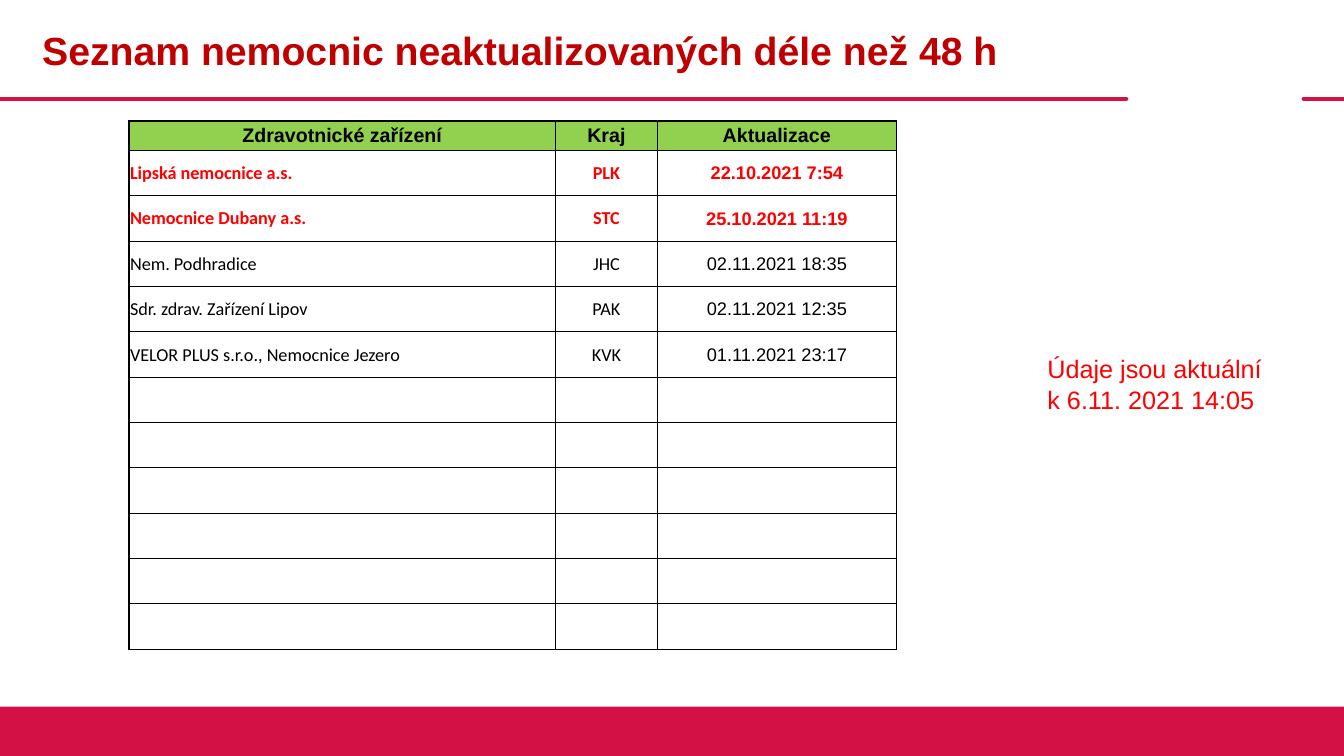
import pptx
import pptx.dml.color
import pptx.enum.shapes
import pptx.enum.text
import pptx.oxml.ns
import pptx.util
from dataclasses import dataclass
from lxml import etree

Inches = pptx.util.Inches
Pt = pptx.util.Pt
Anchor = pptx.enum.text.MSO_ANCHOR
Align = pptx.enum.text.PP_ALIGN
qn = pptx.oxml.ns.qn


@dataclass(frozen=True)
class Theme:
    heading_font: str = "Arial"
    name_font: str = "Calibri"
    band: str = "D31145"
    title: str = "C00000"
    alert: str = "FF0000"
    ink: str = "000000"
    header_fill: str = "92D050"
    title_size: int = 28
    note_size: int = 18
    header_size: int = 14
    body_size: int = 13
    rule_width: int = 3
    outer_border: float = 1
    inner_border: float = 0.5


def rgb(code):
    return pptx.dml.color.RGBColor.from_string(code)


def set_font(paragraph, name, size, color, bold=False):
    font = paragraph.font
    font.name, font.size, font.bold = name, Pt(size), bold
    font.color.rgb = rgb(color)


class SlideBuilder:
    def __init__(self, slide, theme):
        self.slide = slide
        self.theme = theme

    def rule(self, start, end, y):
        line = self.slide.shapes.add_connector(
            pptx.enum.shapes.MSO_CONNECTOR.STRAIGHT,
            Inches(start), Inches(y), Inches(end), Inches(y))
        line.line.color.rgb = rgb(self.theme.band)
        line.line.width = Pt(self.theme.rule_width)
        properties = line._element.spPr
        properties.find(qn("a:ln")).set("cap", "rnd")
        etree.SubElement(properties, qn("a:effectLst"))

    def band(self, left, top, width, height):
        bar = self.slide.shapes.add_shape(
            pptx.enum.shapes.MSO_SHAPE.RECTANGLE,
            Inches(left), Inches(top), Inches(width), Inches(height))
        bar.shadow.inherit = False
        bar.fill.solid()
        bar.fill.fore_color.rgb = rgb(self.theme.band)
        bar.line.fill.background()

    def text(self, words, left, top, width, height, size, color,
             bold=False, line_spacing=1.0):
        frame = self.slide.shapes.add_textbox(
            Inches(left), Inches(top), Inches(width), Inches(height)).text_frame
        frame.word_wrap = True
        frame.vertical_anchor = Anchor.TOP
        paragraph = frame.paragraphs[0]
        paragraph.text = words
        paragraph.line_spacing = line_spacing
        set_font(paragraph, self.theme.heading_font, size, color, bold)

    def borders(self, cell, widths):
        """Draw the cell's borders; widths are left, right, top, bottom in points."""
        properties = cell._tc.get_or_add_tcPr()
        for side, width in zip("LRTB", widths):
            line = etree.SubElement(properties, qn(f"a:ln{side}"), w=str(Pt(width)))
            fill = etree.SubElement(line, qn("a:solidFill"))
            etree.SubElement(fill, qn("a:srgbClr"), val=self.theme.ink)

    def hospital_table(self, header, hospitals, row_count, left, top, widths,
                       header_height, row_height):
        """Build the table; hospitals are (cells, is_overdue), padded with empty rows."""
        theme = self.theme
        height = header_height + row_height * (row_count - 1)
        table = self.slide.shapes.add_table(
            row_count, len(widths), Inches(left), Inches(top),
            Inches(sum(widths)), Inches(height)).table
        table.first_row = table.horz_banding = False
        for column, width in zip(table.columns, widths):
            column.width = Inches(width)
        for r, row in enumerate(table.rows):
            row.height = Inches(row_height if r else header_height)
            words, overdue = (header, False)
            if r:
                words, overdue = hospitals[r - 1] if r <= len(hospitals) else ([], False)
            for c, cell in enumerate(row.cells):
                outer, inner = theme.outer_border, theme.inner_border
                self.borders(cell, (
                    inner if c else outer,
                    outer if c == len(widths) - 1 else inner,
                    outer if r <= 1 else inner,
                    outer if r in (0, row_count - 1) else inner))
                if r:
                    cell.fill.background()
                else:
                    cell.fill.solid()
                    cell.fill.fore_color.rgb = rgb(theme.header_fill)
                cell.vertical_anchor = Anchor.MIDDLE
                cell.margin_left = cell.margin_right = cell.margin_top = Inches(0.01)
                cell.margin_bottom = 0
                paragraph = cell.text_frame.paragraphs[0]
                paragraph.text = words[c] if words else ""
                paragraph.alignment = Align.LEFT if r and c == 0 else Align.CENTER
                set_font(paragraph,
                         theme.name_font if r and c < 2 else theme.heading_font,
                         theme.body_size if r else theme.header_size,
                         theme.alert if overdue else theme.ink,
                         bold=overdue or r == 0)


def main():
    deck = pptx.Presentation()
    deck.slide_width, deck.slide_height = Inches(13.33), Inches(7.5)
    theme = Theme()
    page = SlideBuilder(deck.slides.add_slide(deck.slide_layouts[6]), theme)

    page.rule(0, 11.17, 0.98)
    page.rule(12.93, 13.33, 0.98)
    page.band(0, 7.01, 13.33, 0.49)
    page.text("Seznam nemocnic neaktualizovaných déle než 48 h",
              0.32, 0.26, 10.81, 0.98, theme.title_size, theme.title,
              bold=True, line_spacing=0.9)
    page.text("Údaje jsou aktuální k 6.11. 2021 14:05",
              10.29, 3.46, 2.41, 0.71, theme.note_size, theme.alert)

    hospitals = [
        (("Lipská nemocnice a.s.", "PLK", "22.10.2021 7:54"), True),
        (("Nemocnice Dubany a.s.", "STC", "25.10.2021 11:19"), True),
        (("Nem. Podhradice", "JHC", "02.11.2021 18:35"), False),
        (("Sdr. zdrav. Zařízení Lipov", "PAK", "02.11.2021 12:35"), False),
        (("VELOR PLUS s.r.o., Nemocnice Jezero", "KVK", "01.11.2021 23:17"), False),
    ]
    page.hospital_table(("Zdravotnické zařízení", "Kraj", "Aktualizace"), hospitals,
                        row_count=12, left=1.28, top=1.2, widths=(4.23, 1.01, 2.37),
                        header_height=0.29, row_height=0.45)
    deck.save("out.pptx")


if __name__ == "__main__":
    main()
